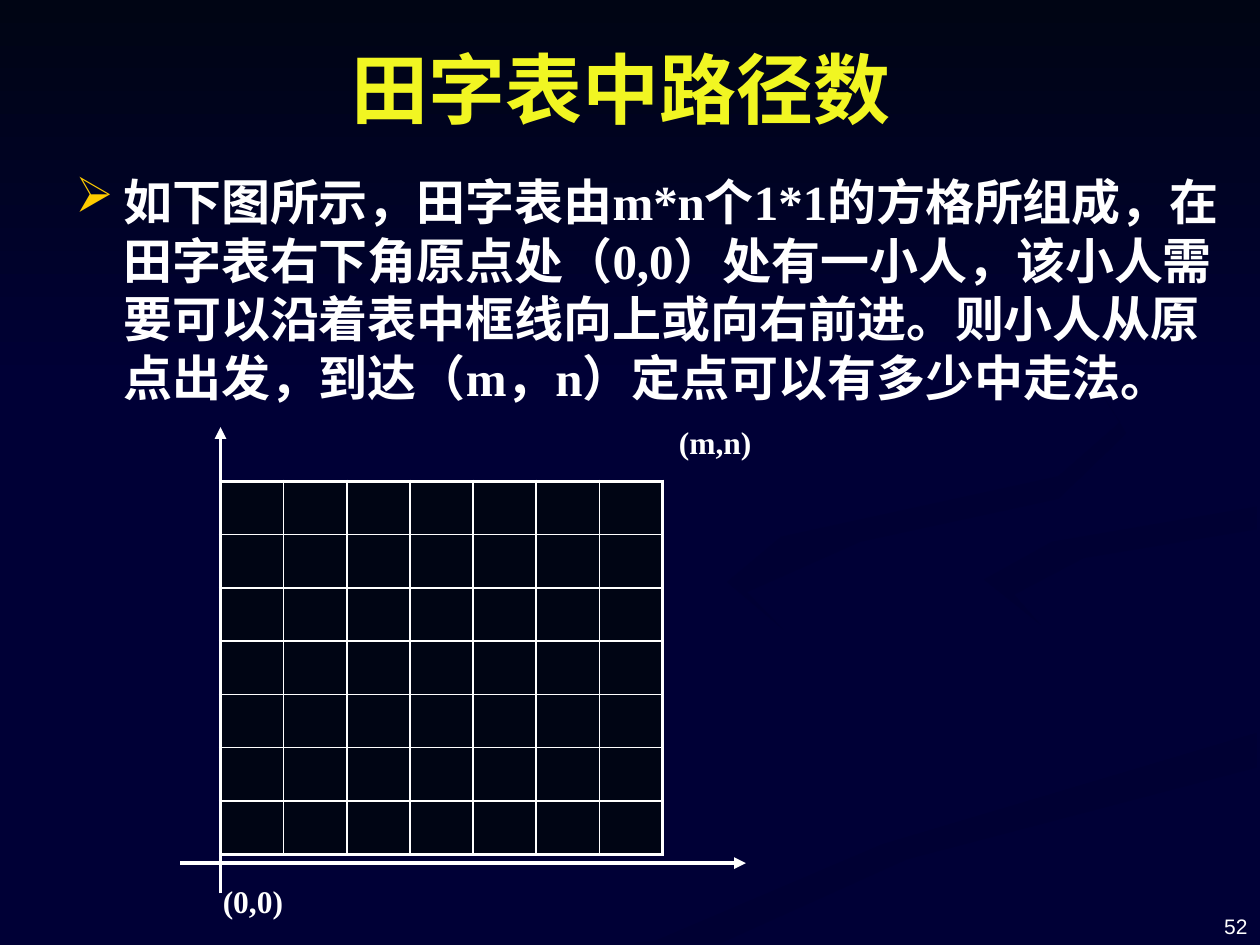
from dataclasses import dataclass

from lxml import etree
from pptx import Presentation
from pptx.dml.color import RGBColor
from pptx.enum.lang import MSO_LANGUAGE_ID
from pptx.enum.shapes import MSO_CONNECTOR, MSO_SHAPE
from pptx.enum.text import MSO_ANCHOR, PP_ALIGN
from pptx.oxml.ns import qn
from pptx.util import Inches, Pt

LEFT, CENTER, RIGHT = PP_ALIGN.LEFT, PP_ALIGN.CENTER, PP_ALIGN.RIGHT
TOP, MIDDLE, BOTTOM = MSO_ANCHOR.TOP, MSO_ANCHOR.MIDDLE, MSO_ANCHOR.BOTTOM
STRAIGHT = MSO_CONNECTOR.STRAIGHT
RECTANGLE = MSO_SHAPE.RECTANGLE
CHINESE = MSO_LANGUAGE_ID.SIMPLIFIED_CHINESE


@dataclass(frozen=True)
class Theme:
    background: str = "000036"
    shade: str = "000033"
    dark: str = "000514"
    text: str = "FFFFFF"
    title: str = "F1F622"
    bullet: str = "FFCC00"
    serif: str = "Times New Roman"
    sans: str = "Arial"
    title_size: float = 44
    body_size: float = 28
    label_size: float = 18
    number_size: float = 12
    thick: float = 2.25
    thin: float = 1


THEME = Theme()

RIBBONS = [
    (THEME.background, THEME.shade, 0, [
        (7.8, 5.53), (6.2, 5), (5.75, 4.59), (5.8, 4.84), (7.76, 5.53),
        (7.6, 5.9), (5, 6.6), (3, 7.49), (3.61, 7.49), (5.3, 6.75),
        (7.7, 6.1), (8, 5.8)]),
    (THEME.background, THEME.shade, 45, [
        (9.43, 5.7), (9.05, 5.4), (7.6, 5), (7.24, 4.64), (7.5, 5.03),
        (8.9, 5.53), (9.18, 5.8), (8.94, 6.05), (9.37, 5.86)]),
    (THEME.shade, THEME.background, 90, [
        (5.03, 7.49), (5.71, 7.49), (7.2, 6.82), (9.98, 6.09), (9.98, 5.81),
        (7.64, 6.47), (6.3, 6.93)]),
    (THEME.background, THEME.background, 0, [
        (7.25, 4.64), (7.6, 5), (9.05, 5.4), (9.43, 5.7), (9.1, 6),
        (6.6, 6.7), (4.77, 7.49), (5.19, 7.47), (7, 6.7), (9.99, 5.81),
        (9.99, 5.38), (8.3, 4.98), (7.81, 4.6), (8.5, 4.27), (9.99, 4.02),
        (9.99, 3.87), (7.7, 4.27)]),
    (THEME.shade, THEME.background, 45, [
        (7.81, 4.6), (8.26, 4.96), (8.05, 4.72), (8.6, 4.43), (9.98, 4.2),
        (9.98, 4.02), (8.35, 4.3)]),
    (THEME.shade, THEME.background, 45, [
        (6.83, 4.3), (8.4, 3.96), (8.94, 3.44), (8.6, 2.9), (7.62, 2.33),
        (8.6, 2.9), (8.89, 3.35), (8.4, 3.78), (6.2, 4.26), (5.77, 4.62),
        (6.22, 5), (5.93, 4.7)]),
]


class SlideBuilder:
    def __init__(self, slide, theme):
        self.slide = slide
        self.theme = theme
        fill = slide.background.fill
        fill.solid()
        fill.fore_color.rgb = RGBColor.from_string(theme.background)

    def gradient(self, s, first, last, angle):
        s.shadow.inherit = False
        s.line.fill.background()
        s.fill.gradient()
        s.fill.gradient_angle = -angle % 360
        for stop, color in zip(s.fill.gradient_stops, (first, last)):
            stop.color.rgb = RGBColor.from_string(color)

    def ribbon(self, first, last, angle, points):
        start, *rest = [(Inches(x), Inches(y)) for x, y in points]
        fb = self.slide.shapes.build_freeform(*start)
        fb.add_line_segments(rest, close=True)
        self.gradient(fb.convert_to_shape(), first, last, angle)

    def band(self, box, first, last, angle):
        s = self.slide.shapes.add_shape(RECTANGLE, *map(Inches, box))
        self.gradient(s, first, last, angle)

    def text(self, box, text, size, color=None, font=None, bold=True,
             align=LEFT, anchor=TOP, wrap=True):
        tf = self.slide.shapes.add_textbox(*map(Inches, box)).text_frame
        tf.word_wrap = wrap
        tf.vertical_anchor = anchor
        tf.text = text
        p = tf.paragraphs[0]
        p.alignment = align
        f = p.runs[0].font
        f.size, f.bold = Pt(size), bold
        f.name = font or self.theme.serif
        f.color.rgb = RGBColor.from_string(color or self.theme.text)
        f.language_id = CHINESE
        return p

    def bullet(self, box, text, size, indent):
        p = self.text(box, text, size)
        p.space_before = Pt(size * 0.2)
        pPr = p._p.get_or_add_pPr()
        pPr.set("marL", str(Inches(indent)))
        pPr.set("indent", str(-Inches(indent)))
        color = etree.SubElement(pPr, qn("a:buClr"))
        etree.SubElement(color, qn("a:srgbClr"), val=self.theme.bullet)
        etree.SubElement(pPr, qn("a:buChar"), char="➢")

    def border(self, cell, side, width):
        ln = etree.SubElement(cell._tc.get_or_add_tcPr(), qn(f"a:ln{side}"), w=str(Pt(width)))
        fill = etree.SubElement(ln, qn("a:solidFill"))
        etree.SubElement(fill, qn("a:srgbClr"), val=self.theme.text)

    def grid(self, box, rows, cols):
        table = self.slide.shapes.add_table(rows, cols, *map(Inches, box)).table
        table.first_row = table.horz_banding = False
        for i in range(rows):
            for j in range(cols):
                cell = table.cell(i, j)
                outer = {"L": j == 0, "R": j == cols - 1, "T": i == 0, "B": i == rows - 1}
                for side, is_outer in outer.items():
                    self.border(cell, side, self.theme.thick if is_outer else self.theme.thin)
                cell.fill.solid()
                cell.fill.fore_color.rgb = RGBColor.from_string(self.theme.dark)

    def arrow(self, start, end):
        s = self.slide.shapes.add_connector(STRAIGHT, *map(Inches, start + end))
        s.line.width = Pt(self.theme.thick)
        s.line.color.rgb = RGBColor.from_string(self.theme.text)
        etree.SubElement(s.line._get_or_add_ln(), qn("a:tailEnd"), type="triangle")
        etree.SubElement(s._element.spPr, qn("a:effectLst"))


def main():
    prs = Presentation()
    prs.slide_width, prs.slide_height = Inches(10), Inches(7.5)
    b = SlideBuilder(prs.slides.add_slide(prs.slide_layouts[6]), THEME)

    for ribbon in RIBBONS:
        b.ribbon(*ribbon)
    b.band((0, 0, 10, 3.08), THEME.dark, THEME.background, 90)

    b.text((7.67, 6.98, 2.33, 0.52), "52", THEME.number_size, font=THEME.sans,
           bold=False, align=RIGHT, anchor=BOTTOM)
    b.text((0.43, 0.16, 9, 1.07), "田字表中路径数", THEME.title_size,
           color=THEME.title, align=CENTER, anchor=MIDDLE)
    b.bullet((0.5, 1.31, 9.5, 5.83),
             "如下图所示，田字表由m*n个1*1的方格所组成，在田字表右下角原点处（0,0）处有一小人，"
             "该小人需要可以沿着表中框线向上或向右前进。则小人从原点出发，到达（m，n）定点可以有多少中走法。",
             THEME.body_size, 0.38)

    b.grid((1.75, 3.82, 3.51, 2.96), 7, 7)
    b.arrow((1.43, 6.85), (5.92, 6.85))
    b.arrow((1.75, 7.09), (1.75, 3.39))
    b.text((1.67, 6.95, 0.84, 0.5), "(0,0)", THEME.label_size, wrap=False)
    b.text((5.29, 3.31, 0.97, 0.5), "(m,n)", THEME.label_size, wrap=False)

    prs.save("out.pptx")


if __name__ == "__main__":
    main()
